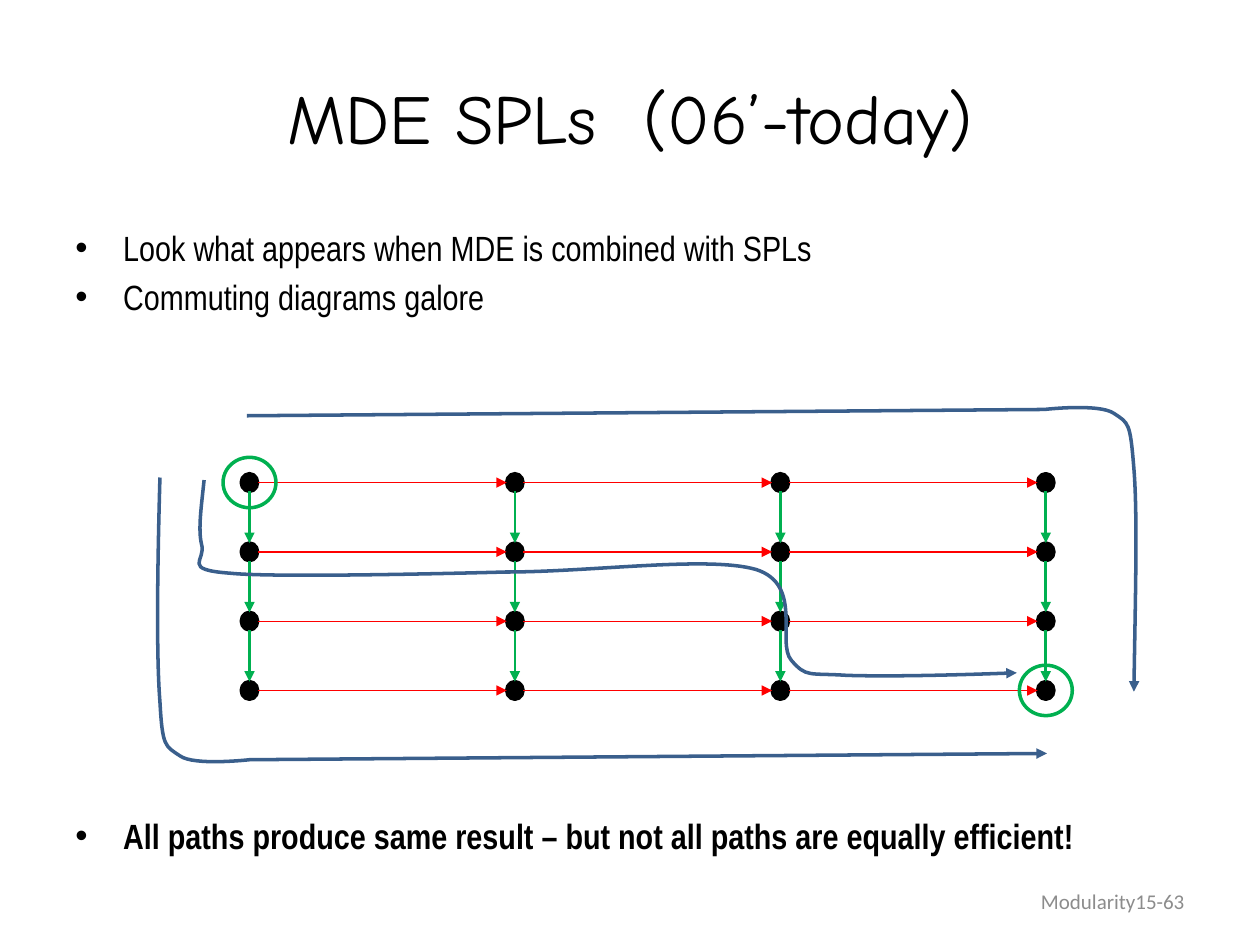
from lxml import etree
from pptx import Presentation
from pptx.dml.color import RGBColor
from pptx.enum.shapes import MSO_CONNECTOR, MSO_SHAPE
from pptx.enum.text import MSO_ANCHOR, PP_ALIGN
from pptx.oxml.ns import qn
from pptx.util import Inches, Pt

STRAIGHT = MSO_CONNECTOR.STRAIGHT
OVAL = MSO_SHAPE.OVAL
MIDDLE = MSO_ANCHOR.MIDDLE
CENTER, RIGHT = PP_ALIGN.CENTER, PP_ALIGN.RIGHT
BLACK = RGBColor(0x00, 0x00, 0x00)
GREEN = RGBColor(0x00, 0xB0, 0x50)
RED = RGBColor(0xFF, 0x00, 0x00)
BLUE = RGBColor(0x3A, 0x5F, 0x8C)
GRAY = RGBColor(0x8C, 0x8C, 0x8C)


def style_arrow(shape, color, width, end="a:tailEnd"):
    shape.line.color.rgb = color
    shape.line.width = Pt(width)
    ln = shape.line._get_or_add_ln()
    etree.SubElement(ln, qn(end), type="triangle")


def add_oval(cx, cy, w, h, color):
    oval = s.shapes.add_shape(OVAL, Inches(cx - w / 2), Inches(cy - h / 2), Inches(w), Inches(h))
    oval.shadow.inherit = False
    oval.line.color.rgb = color
    oval.line.width = Pt(2)
    return oval


prs = Presentation()
prs.slide_width, prs.slide_height = Inches(10), Inches(7.5)
s = prs.slides.add_slide(prs.slide_layouts[5])

title = s.shapes.title
title.left, title.top = Inches(0.5), Inches(0.3)
title.width, title.height = Inches(9), Inches(1.25)
tf = title.text_frame
tf.vertical_anchor = MIDDLE
p = tf.paragraphs[0]
p.alignment = CENTER
r = p.add_run()
r.text = "MDE SPLs  (06’-today)"
r.font.name, r.font.size = "Comic Neue", Pt(40)
r.font.color.rgb = BLACK

bullets = [
    ("Look what appears when MDE is combined with SPLs", 0, False),
    ("Commuting diagrams galore", 4, False),
    ("All paths produce same result – but not all paths are equally efficient!", 284, True),
]
tf = s.shapes.add_textbox(Inches(0.5), Inches(1.75), Inches(9), Inches(5.31)).text_frame
tf.word_wrap = True
for i, (text, gap, bold) in enumerate(bullets):
    p = tf.paragraphs[0] if i == 0 else tf.add_paragraph()
    pPr = p._p.get_or_add_pPr()
    pPr.set("marL", str(Inches(0.38)))
    pPr.set("indent", str(-Inches(0.38)))
    etree.SubElement(pPr, qn("a:buFont"), typeface="Arial")
    etree.SubElement(pPr, qn("a:buChar"), char="•")
    p.space_before = Pt(gap)
    r = p.add_run()
    r.text = text
    r.font.name, r.font.size, r.font.bold = "Arial Narrow", Pt(20), bold
    r.font.color.rgb = BLACK

NODE_W, NODE_H = 0.13, 0.14
xs = [1.98 + (8.3 - 1.98) / 3 * col for col in range(4)]
ys = [3.83 + 0.55 * row for row in range(4)]
for x in xs:
    for y in ys:
        node = add_oval(x, y, NODE_W, NODE_H, BLACK)
        node.fill.solid()
        node.fill.fore_color.rgb = BLACK

rx, ry = NODE_W / 2, NODE_H / 2
edges = [(x, y0 + ry, x, y1 - ry, GREEN, 1.5) for x in xs for y0, y1 in zip(ys, ys[1:])]
edges += [(x0 + rx, y, x1 - rx, y, RED, 0.75) for x0, x1 in zip(xs, xs[1:]) for y in ys]
for x0, y0, x1, y1, color, width in edges:
    edge = s.shapes.add_connector(STRAIGHT, Inches(x0), Inches(y0), Inches(x1), Inches(y1))
    style_arrow(edge, color, width)
    etree.SubElement(edge._element.spPr, qn("a:effectLst"))

for x, y in [(xs[0], ys[0]), (xs[-1], ys[-1])]:
    ring = add_oval(x, y, 0.42, 0.4, GREEN)
    ring.fill.background()

routes = [
    ((1.25, 3.79, 7.06, 2.26), "a:tailEnd", (1.27, 3.79), [
        [(1.25, 4.49), (1.24, 5.2), (1.27, 5.57)],
        [(1.29, 5.93), (1.31, 5.92), (1.43, 6)],
        [(1.54, 6.08), (1.98, 6.03), (1.98, 6.03)],
        [(8.31, 5.98)]]),
    ((1.96, 3.24, 7.06, 2.26), "a:headEnd", (9, 5.49), [
        [(9.01, 4.79), (9.03, 4.09), (9, 3.72)],
        [(8.97, 3.35), (8.96, 3.36), (8.84, 3.28)],
        [(8.72, 3.2), (8.29, 3.25), (8.29, 3.25)],
        [(1.96, 3.3)]]),
    ((1.58, 3.81, 6.49, 1.55), "a:tailEnd", (1.62, 3.81), [
        [(1.6, 4.01), (1.57, 4.2), (1.6, 4.32)],
        [(1.64, 4.45), (1.43, 4.52), (1.83, 4.55)],
        [(2.23, 4.59), (4.01, 4.54), (4.01, 4.54)],
        [(4.7, 4.54), (5.62, 4.41), (6, 4.52)],
        [(6.38, 4.64), (6.16, 5.1), (6.28, 5.24)],
        [(6.4, 5.38), (6.42, 5.34), (6.72, 5.36)],
        [(7.02, 5.37), (7.55, 5.36), (8.07, 5.34)]]),
]
for (left, top, width, height), end, start, segments in routes:
    builder = s.shapes.build_freeform(Inches(start[0]), Inches(start[1]))
    builder.add_line_segments(
        [(Inches(seg[-1][0]), Inches(seg[-1][1])) for seg in segments], close=False)
    curve = builder.convert_to_shape()
    curve.left, curve.top = Inches(left), Inches(top)
    curve.width, curve.height = Inches(width), Inches(height)
    outline = next(curve._element.iter(qn("a:path")))
    outline.set("w", str(Inches(width)))
    outline.set("h", str(Inches(height)))
    for step in list(outline):
        outline.remove(step)
    for i, seg in enumerate([[start]] + segments):
        tag = "a:moveTo" if i == 0 else "a:lnTo" if len(seg) == 1 else "a:cubicBezTo"
        step = etree.SubElement(outline, qn(tag))
        for x, y in seg:
            etree.SubElement(step, qn("a:pt"), x=str(Inches(x - left)), y=str(Inches(y - top)))
    curve.shadow.inherit = False
    curve.fill.background()
    style_arrow(curve, BLUE, 2, end)

tf = s.shapes.add_textbox(Inches(7.17), Inches(6.95), Inches(2.33), Inches(0.4)).text_frame
tf.word_wrap = True
tf.vertical_anchor = MIDDLE
p = tf.paragraphs[0]
p.alignment = RIGHT
r = p.add_run()
r.text = "Modularity15-63"
r.font.name, r.font.size = "Calibri", Pt(12)
r.font.color.rgb = GRAY

prs.save("out.pptx")
